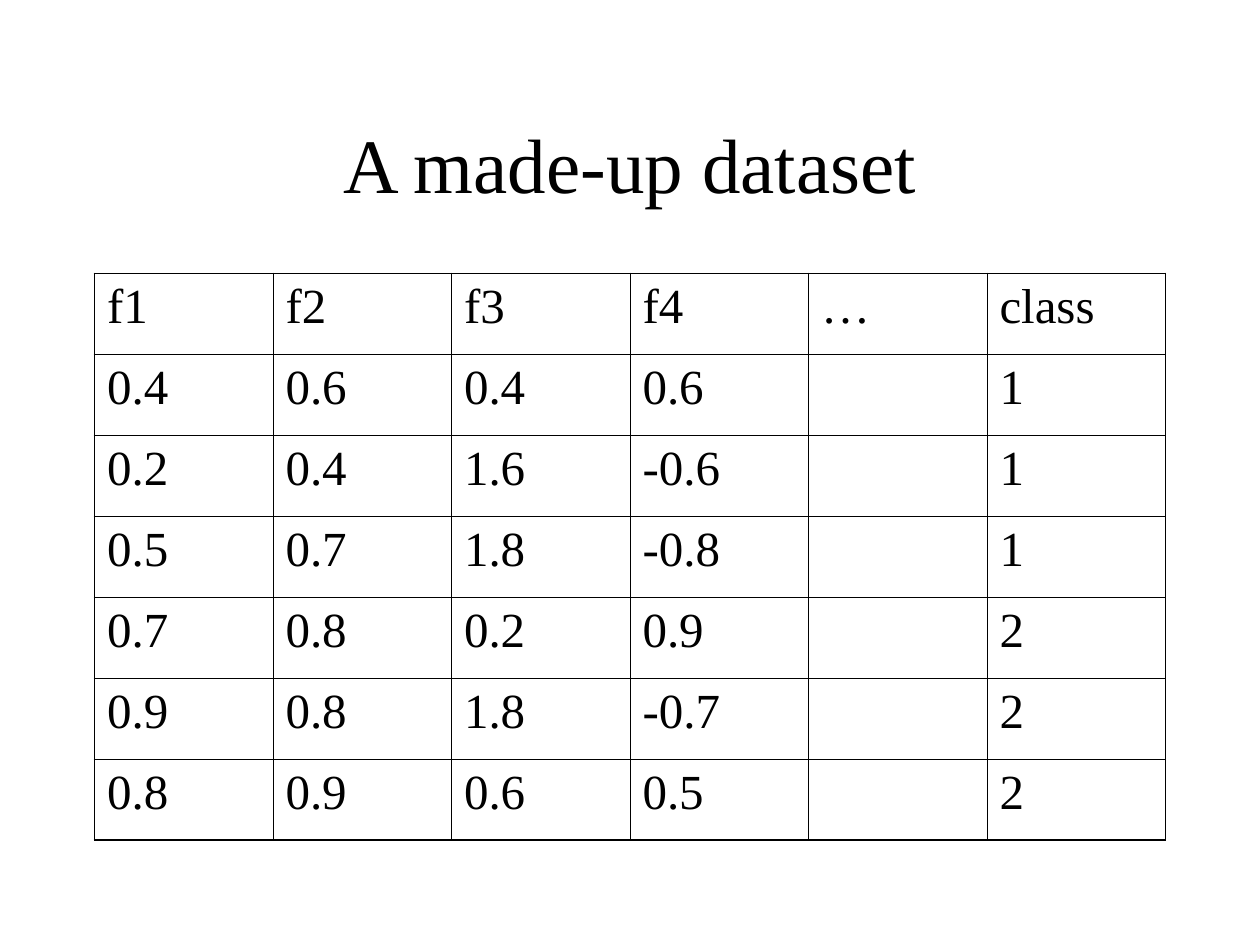
from lxml import etree
from pptx import Presentation
from pptx.dml.color import RGBColor
from pptx.enum.text import MSO_ANCHOR, PP_ALIGN
from pptx.oxml.ns import qn
from pptx.util import Inches, Pt

MIDDLE, CENTER = MSO_ANCHOR.MIDDLE, PP_ALIGN.CENTER
TITLE_ONLY = 5
BLACK = "000000"
FACE = "Times New Roman"
THIN, THICK = 0.45, 1.08

TITLE = "A made-up dataset"
ROWS = [
    ("f1", "f2", "f3", "f4", "…", "class"),
    ("0.4", "0.6", "0.4", "0.6", "", "1"),
    ("0.2", "0.4", "1.6", "-0.6", "", "1"),
    ("0.5", "0.7", "1.8", "-0.8", "", "1"),
    ("0.7", "0.8", "0.2", "0.9", "", "2"),
    ("0.9", "0.8", "1.8", "-0.7", "", "2"),
    ("0.8", "0.9", "0.6", "0.5", "", "2"),
]
TITLE_BOX = [Inches(n) for n in (0.75, 0.67, 8.5, 1.25)]
TABLE_BOX = [Inches(n) for n in (0.75, 2.17, 8.5, 4.5)]


def style(font, size, color=BLACK):
    for key, value in {"name": FACE, "size": Pt(size), "bold": False}.items():
        setattr(font, key, value)
    font.color.rgb = RGBColor.from_string(color)


def rule(cell, widths, color=BLACK):
    """Draw cell borders; widths are points for left, right, top, bottom."""
    props = cell._tc.get_or_add_tcPr()
    for spot, (side, width) in enumerate(zip("LRTB", widths)):
        line = etree.Element(qn("a:ln" + side), w=str(Pt(width)))
        fill = etree.SubElement(line, qn("a:solidFill"))
        etree.SubElement(fill, qn("a:srgbClr"), val=color)
        props.insert(spot, line)


def add_title(slide):
    title = slide.shapes.title
    title.left, title.top, title.width, title.height = TITLE_BOX
    frame = title.text_frame
    frame.text = TITLE
    frame.vertical_anchor = MIDDLE
    para = frame.paragraphs[0]
    para.alignment = CENTER
    style(para.runs[0].font, 44)


def add_data(slide):
    rows, cols = len(ROWS), len(ROWS[0])
    table = slide.shapes.add_table(rows, cols, *TABLE_BOX).table
    table.first_row = table.horz_banding = False
    for r, row in enumerate(ROWS):
        for c, text in enumerate(row):
            cell = table.cell(r, c)
            cell.fill.background()
            edges = (c == 0, c == cols - 1, r == 0, r == rows - 1)
            rule(cell, [THICK if edge else THIN for edge in edges])
            if text:
                cell.text = text
                style(cell.text_frame.paragraphs[0].runs[0].font, 28)


def main():
    deck = Presentation()
    deck.slide_width, deck.slide_height = Inches(10), Inches(7.5)
    slide = deck.slides.add_slide(deck.slide_layouts[TITLE_ONLY])
    add_title(slide)
    add_data(slide)
    deck.save("out.pptx")


if __name__ == "__main__":
    main()
